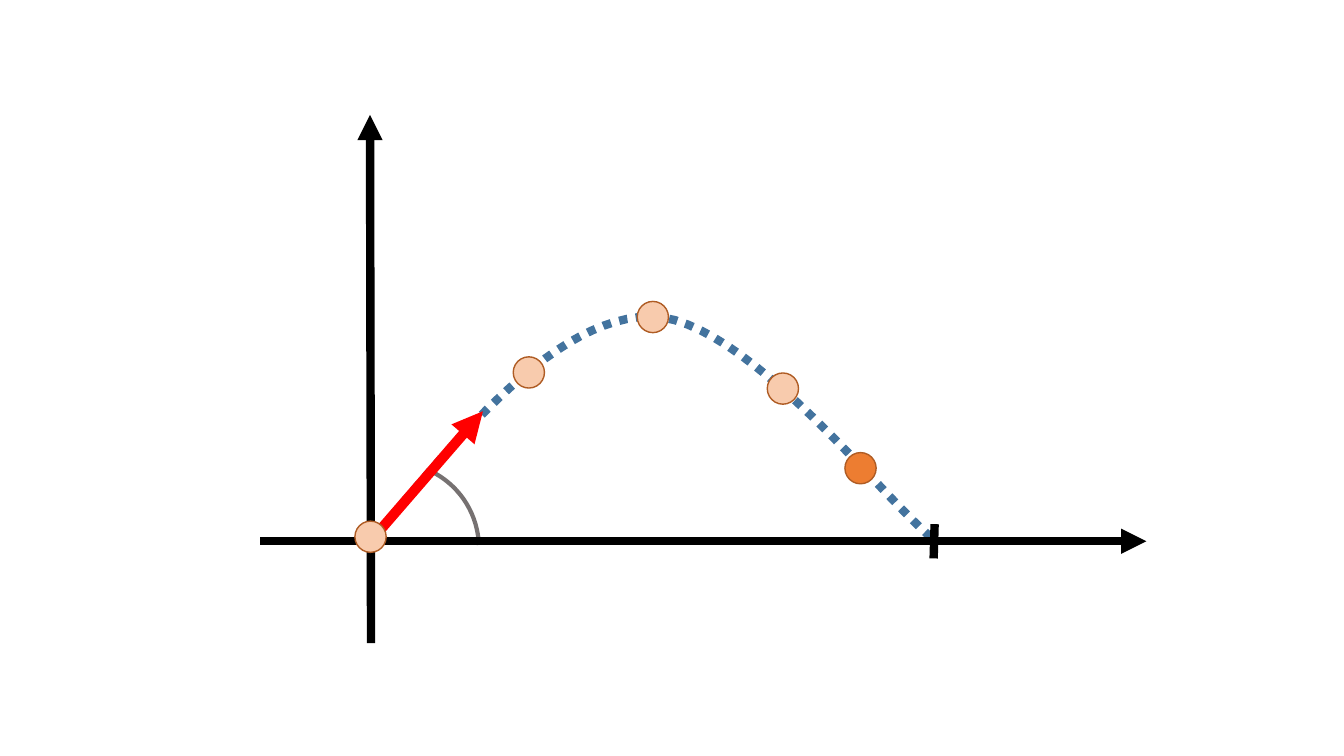
from dataclasses import dataclass
from typing import Optional

from lxml.etree import SubElement
from pptx import Presentation
from pptx.dml.color import RGBColor
from pptx.dml.line import LineFormat
from pptx.enum.dml import MSO_LINE
from pptx.enum.shapes import MSO_CONNECTOR as CONN, MSO_SHAPE as SHAPE
from pptx.oxml.ns import qn
from pptx.shapes.autoshape import Shape
from pptx.shapes.shapetree import SlideShapes
from pptx.util import Inches, Pt

Point = tuple[float, float]

COLORS = {
    "axis": "000000",
    "velocity": "FF0000",
    "angle": "767171",
    "trajectory": "43739E",
    "ball": "ED7D31",
    "past": "F8CBAD",
    "outline": "AF5C24",
}
BALL_SIZE = 0.31
CURVE_STEPS = 24


@dataclass
class Segment:
    start: Point
    end: Point
    color: str
    width: float = 6
    arrow: bool = True


@dataclass
class Ball:
    left: float
    top: float
    color: str = "past"


SEGMENTS = [
    Segment((3.7, 5.34), (4.79, 4.08), "velocity", 7.25),
    Segment((9.27, 5.2), (9.26, 5.54), "axis", arrow=False),
    Segment((2.58, 5.37), (11.37, 5.37), "axis"),
    Segment((3.68, 6.38), (3.67, 1.14), "axis"),
]
BALLS = [
    Ball(8.38, 4.49, "ball"),
    Ball(6.32, 2.99),
    Ball(7.61, 3.7),
    Ball(5.09, 3.54),
    Ball(3.52, 5.17),
]
CURVES = [
    [(3.68, 5.37), (4.6, 4.26), (5.52, 3.15), (6.45, 3.14)],
    [(6.45, 3.14), (7.39, 3.14), (8.79, 4.99), (9.27, 5.36)],
]


def rgb(name: str) -> RGBColor:
    return RGBColor.from_string(COLORS[name])


def format_line(line: LineFormat, color: str, width: float,
                dash: Optional[MSO_LINE] = None) -> None:
    line.color.rgb = rgb(color)
    for name, value in {"width": Pt(width), "dash_style": dash}.items():
        setattr(line, name, value)


def format_shape(sp: Shape, fill: Optional[str]) -> None:
    sp.shadow.inherit = False
    if fill is None:
        sp.fill.background()
    else:
        sp.fill.solid()
        sp.fill.fore_color.rgb = rgb(fill)


def bezier(points: list[Point], t: float) -> Point:
    weights = [(1 - t) ** 3, 3 * t * (1 - t) ** 2, 3 * t ** 2 * (1 - t), t ** 3]
    return (sum(w * x for w, (x, _) in zip(weights, points)),
            sum(w * y for w, (_, y) in zip(weights, points)))


def add_angle(shapes: SlideShapes) -> None:
    sp = shapes.add_shape(SHAPE.ARC, Inches(3.06), Inches(4.59), Inches(1.69), Inches(1.69))
    sp.rotation = 17.5
    for i, degrees in enumerate((279.72, 340.56)):
        sp.adjustments[i] = degrees * 0.6
    format_shape(sp, None)
    format_line(sp.line, "angle", 3)


def add_trajectory(shapes: SlideShapes) -> None:
    x, y = CURVES[0][0]
    builder = shapes.build_freeform(Inches(x), Inches(y))
    points = [bezier(c, i / CURVE_STEPS) for c in CURVES for i in range(1, CURVE_STEPS + 1)]
    builder.add_line_segments([(Inches(x), Inches(y)) for x, y in points], close=False)
    sp = builder.convert_to_shape()
    format_shape(sp, None)
    format_line(sp.line, "trajectory", 6, MSO_LINE.ROUND_DOT)


def add_segment(shapes: SlideShapes, seg: Segment) -> None:
    ends = [Inches(v) for v in (*seg.start, *seg.end)]
    sp = shapes.add_connector(CONN.STRAIGHT, *ends)
    format_line(sp.line, seg.color, seg.width)
    sp_pr = sp.element.spPr
    if seg.arrow:
        SubElement(sp_pr.find(qn("a:ln")), qn("a:tailEnd"), type="triangle")
    SubElement(sp_pr, qn("a:effectLst"))


def add_ball(shapes: SlideShapes, ball: Ball) -> None:
    size = Inches(BALL_SIZE)
    sp = shapes.add_shape(SHAPE.OVAL, Inches(ball.left), Inches(ball.top), size, size)
    format_shape(sp, ball.color)
    format_line(sp.line, "outline", 1)


def main() -> None:
    """Draw the projectile's trajectory with its axes, launch arrow and positions."""
    prs = Presentation()
    for name, value in {"slide_width": 13.33, "slide_height": 7.5}.items():
        setattr(prs, name, Inches(value))
    s = prs.slides.add_slide(prs.slide_layouts[6])
    add_angle(s.shapes)
    add_trajectory(s.shapes)
    for seg in SEGMENTS:
        add_segment(s.shapes, seg)
    for ball in BALLS:
        add_ball(s.shapes, ball)
    prs.save("out.pptx")


if __name__ == "__main__":
    main()
